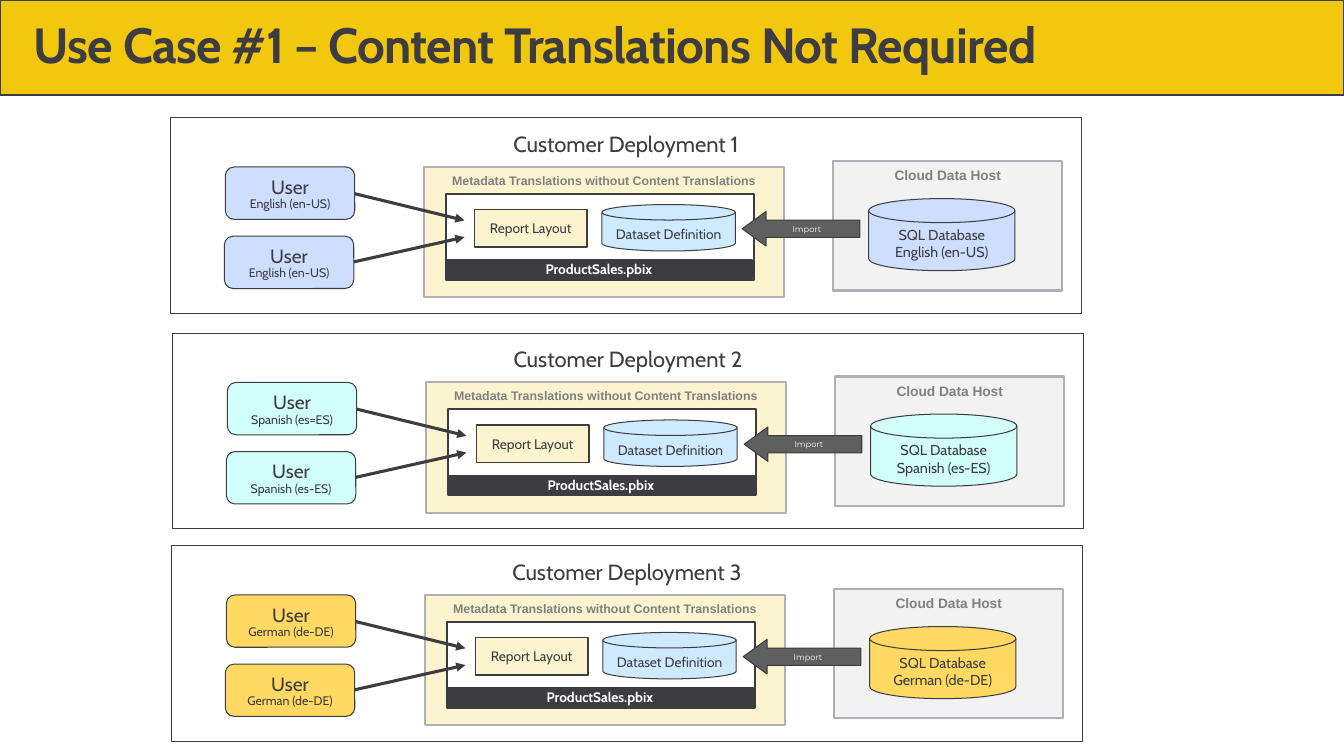
"""Builds a slide showing three customer deployments that need no content translations."""
from dataclasses import dataclass

from lxml import etree
from pptx import Presentation
from pptx.dml.color import RGBColor
from pptx.enum.shapes import MSO_CONNECTOR, MSO_SHAPE
from pptx.enum.text import MSO_ANCHOR, PP_ALIGN
from pptx.oxml.ns import qn
from pptx.util import Inches, Pt

TITLE = "Use Case #1 – Content Translations Not Required"
SERVER = "Cloud Data Host"
METADATA = "Metadata Translations without Content Translations"
FILE_NAME = "ProductSales.pbix"
LAYOUT = "Report Layout"
DATASET = "Dataset Definition"
IMPORT = "Import"
USER = "User"
DATABASE = "SQL Database"

DEPLOYMENTS = [
    {"name": "Customer Deployment 1", "origin": (1.73, 1.19), "fill": "CDDEFF",
     "users": ["English (en-US)", "English (en-US)"], "language": "English (en-US)"},
    {"name": "Customer Deployment 2", "origin": (1.75, 3.37), "fill": "D1FFF9",
     "users": ["Spanish (es=ES)", "Spanish (es-ES)"], "language": "Spanish (es-ES)"},
    {"name": "Customer Deployment 3", "origin": (1.74, 5.52), "fill": "FFD961",
     "users": ["German (de-DE)", "German (de-DE)"], "language": "German (de-DE)"},
]

USER_SPOTS = [(0.55, 0.5), (0.54, 1.2)]
USER_SIZE = (1.31, 0.53)
USER_ARROWS = [((1.86, 0.77), (2.97, 1.04)), ((1.85, 1.46), (2.97, 1.21))]


@dataclass(frozen=True)
class Theme:
    """Colours, fonts and type sizes of the slide."""
    ink: str = "3C3C41"
    white: str = "FFFFFF"
    banner: str = "F2C80F"
    cream: str = "FCF4CF"
    sky: str = "CFEAFF"
    pale: str = "F2F2F2"
    edge: str = "AFAFB5"
    grey: str = "808080"
    arrow: str = "5F5F5F"
    body: str = "Cabin"
    caption: str = "Arial"
    small: str = "Montserrat"
    title_size: float = 36
    name_size: float = 16
    user_size: float = 14
    database_size: float = 10.5
    label_size: float = 10
    note_size: float = 9
    import_size: float = 6


THEME = Theme()


def write(shape, lines, sizes, color=THEME.ink, font=THEME.body, bold=False,
          insets=(0.1, 0.05, 0.1, 0.05), anchor=MSO_ANCHOR.MIDDLE,
          align=PP_ALIGN.CENTER, spacings=(None, None)):
    frame = shape.text_frame
    frame.word_wrap = True
    frame.vertical_anchor = anchor
    frame.margin_left, frame.margin_top, frame.margin_right, frame.margin_bottom = map(Inches, insets)
    frame.text = "\n".join(lines)
    for paragraph, size, spacing in zip(frame.paragraphs, sizes, spacings):
        paragraph.alignment = align
        if spacing:
            paragraph.line_spacing = spacing
        for run in paragraph.runs:
            run.font.name = font
            run.font.size = Pt(size)
            run.font.bold = bold
            run.font.color.rgb = RGBColor.from_string(color)


def add_box(slide, kind, box, fill, edge=THEME.ink, weight=0.75):
    shape = slide.shapes.add_shape(kind, *map(Inches, box))
    shape.shadow.inherit = False
    shape.fill.solid()
    shape.fill.fore_color.rgb = RGBColor.from_string(fill)
    shape.line.color.rgb = RGBColor.from_string(edge)
    shape.line.width = Pt(weight)
    return shape


def add_arrow(slide, start, end):
    arrow = slide.shapes.add_connector(MSO_CONNECTOR.STRAIGHT, *map(Inches, start + end))
    arrow.line.color.rgb = RGBColor.from_string(THEME.ink)
    arrow.line.width = Pt(2.25)
    etree.SubElement(arrow.line._get_or_add_ln(), qn("a:tailEnd"), type="triangle")
    etree.SubElement(arrow._element.spPr, qn("a:effectLst"))


def add_deployment(slide, deployment):
    left, top = deployment["origin"]

    def place(kind, x, y, width, height, *style):
        return add_box(slide, kind, (left + x, top + y, width, height), *style)

    rect, disk = MSO_SHAPE.RECTANGLE, MSO_SHAPE.FLOWCHART_MAGNETIC_DISK
    disk_insets = (0.1, 0.1, 0.1, 0.05)
    caption = {"color": THEME.grey, "font": THEME.caption, "bold": True,
               "insets": (0.1, 0.06, 0.1, 0.05), "anchor": MSO_ANCHOR.TOP}

    panel = place(rect, 0, 0, 9.21, 1.98, THEME.white)
    write(panel, [deployment["name"]], [THEME.name_size], insets=(0.2, 0.16, 0.2, 0.16),
          anchor=MSO_ANCHOR.TOP, spacings=[0.9])
    server = place(rect, 6.7, 0.44, 2.32, 1.31, THEME.pale, THEME.edge, 1.5)
    write(server, [SERVER], [THEME.label_size], **caption)
    metadata = place(rect, 2.56, 0.5, 3.64, 1.32, THEME.cream, THEME.edge, 1.5)
    write(metadata, [METADATA], [THEME.note_size], **caption)

    place(rect, 2.78, 0.77, 3.12, 0.87, THEME.white, THEME.ink, 1.5)
    file_bar = place(rect, 2.78, 1.44, 3.1, 0.19, THEME.ink, THEME.ink, 1)
    write(file_bar, [FILE_NAME], [THEME.label_size], color=THEME.white, bold=True)
    dataset = place(disk, 4.36, 0.88, 1.35, 0.47, THEME.sky)
    write(dataset, [DATASET], [THEME.label_size], insets=disk_insets)
    layout = place(rect, 3.07, 0.93, 1.14, 0.38, THEME.cream, THEME.ink, 0.85)
    write(layout, [LAYOUT], [THEME.label_size])
    database = place(disk, 7.06, 0.82, 1.48, 0.73, deployment["fill"])
    write(database, [DATABASE, deployment["language"]], [THEME.database_size] * 2, insets=disk_insets)

    for spot, language in zip(USER_SPOTS, deployment["users"]):
        user = place(MSO_SHAPE.ROUNDED_RECTANGLE, *spot, *USER_SIZE, deployment["fill"])
        write(user, [USER, language], [THEME.user_size, THEME.note_size],
              insets=(0, 0, 0, 0), spacings=[None, 0.9])
    for start, end in USER_ARROWS:
        add_arrow(slide, (left + start[0], top + start[1]), (left + end[0], top + end[1]))

    import_arrow = place(MSO_SHAPE.LEFT_ARROW, 5.78, 0.95, 1.19, 0.35, THEME.arrow)
    import_arrow.adjustments[0], import_arrow.adjustments[1] = 0.5, 0.69
    write(import_arrow, [IMPORT], [THEME.import_size], color=THEME.white, font=THEME.small,
          insets=(0, 0.02, 0, 0), spacings=[0.9])


def main():
    deck = Presentation()
    deck.slide_width, deck.slide_height = Inches(13.6), Inches(7.65)
    slide = deck.slides.add_slide(deck.slide_layouts[6])
    add_box(slide, MSO_SHAPE.RECTANGLE, (0, 0, 13.6, 0.96), THEME.banner, THEME.ink, 1.5)
    for deployment in DEPLOYMENTS:
        add_deployment(slide, deployment)
    title = slide.shapes.add_textbox(*map(Inches, (0.34, 0.21, 12.91, 0.55)))
    write(title, [TITLE], [THEME.title_size], bold=True, insets=(0, 0, 0, 0),
          anchor=MSO_ANCHOR.TOP, align=PP_ALIGN.LEFT, spacings=[0.9])
    title.text_frame.paragraphs[0].runs[0].font._element.set("spc", "-50")
    deck.save("out.pptx")


if __name__ == "__main__":
    main()
